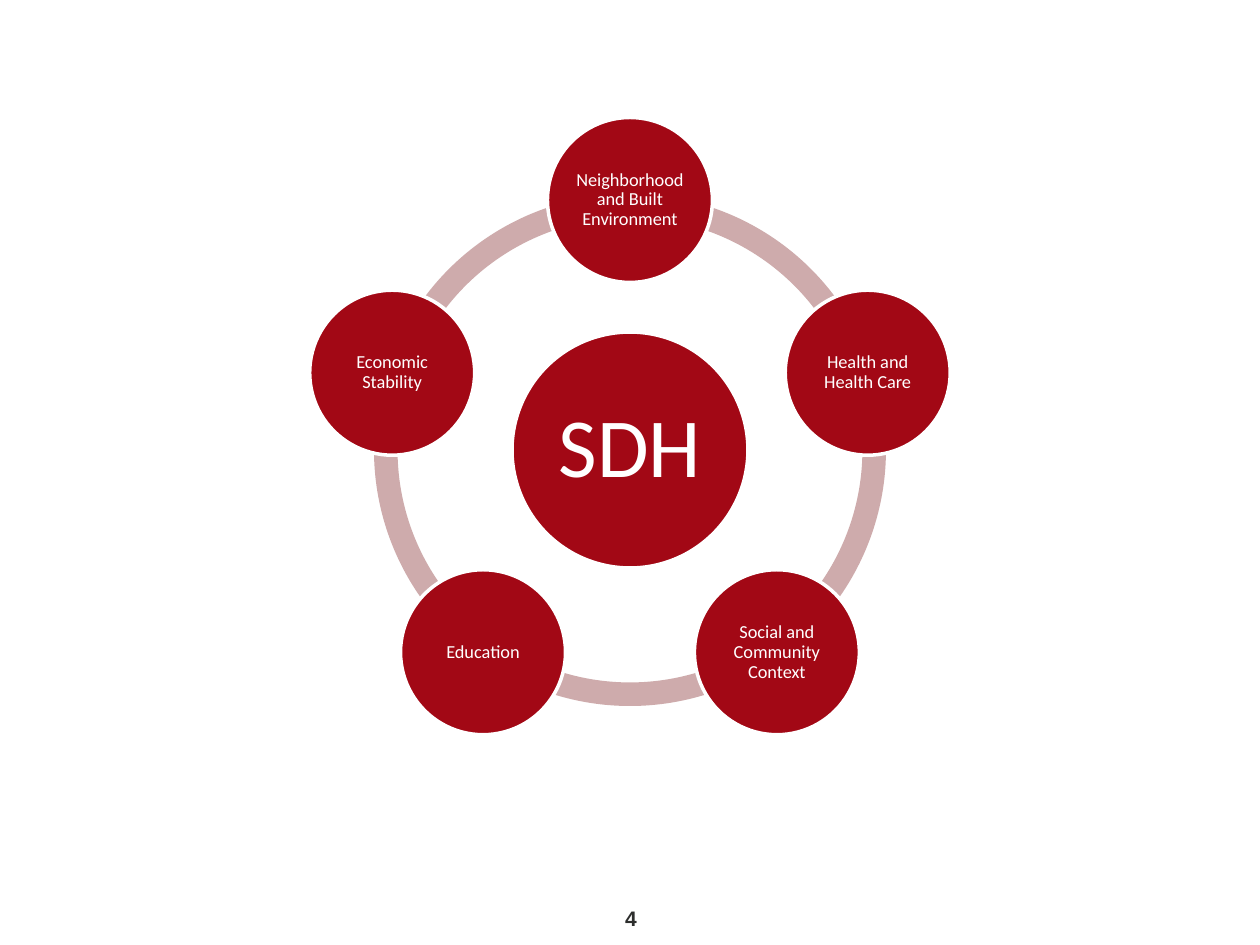
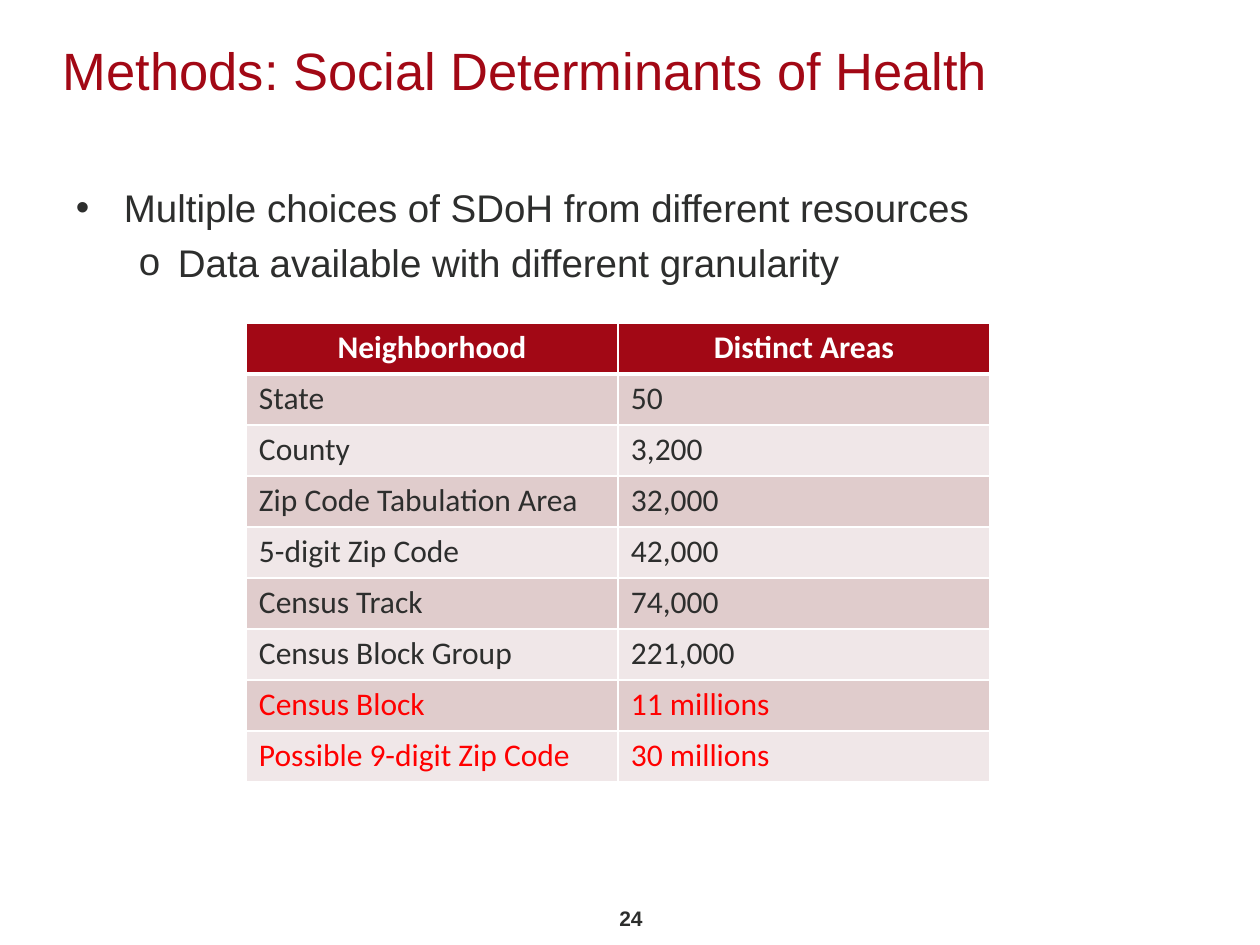
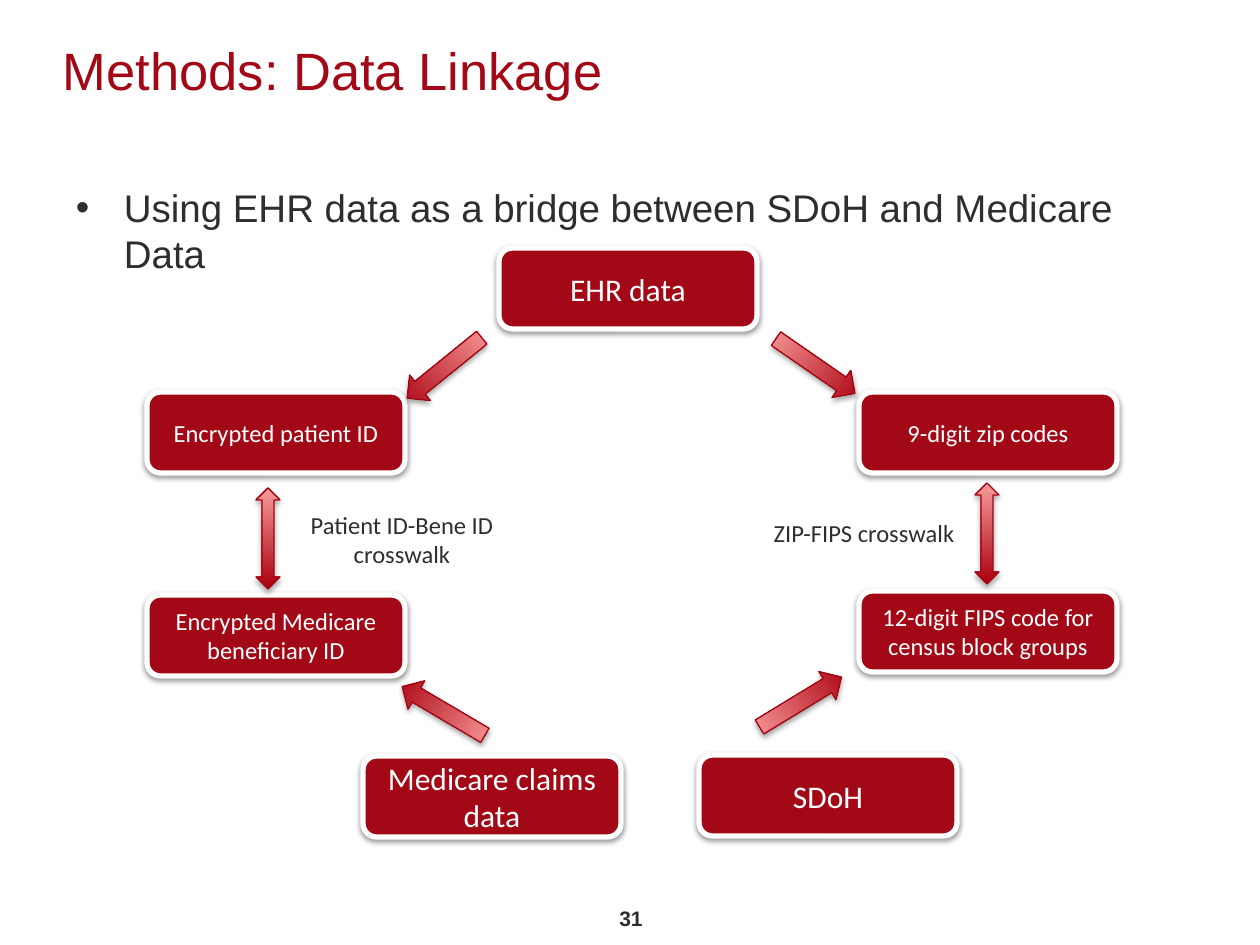
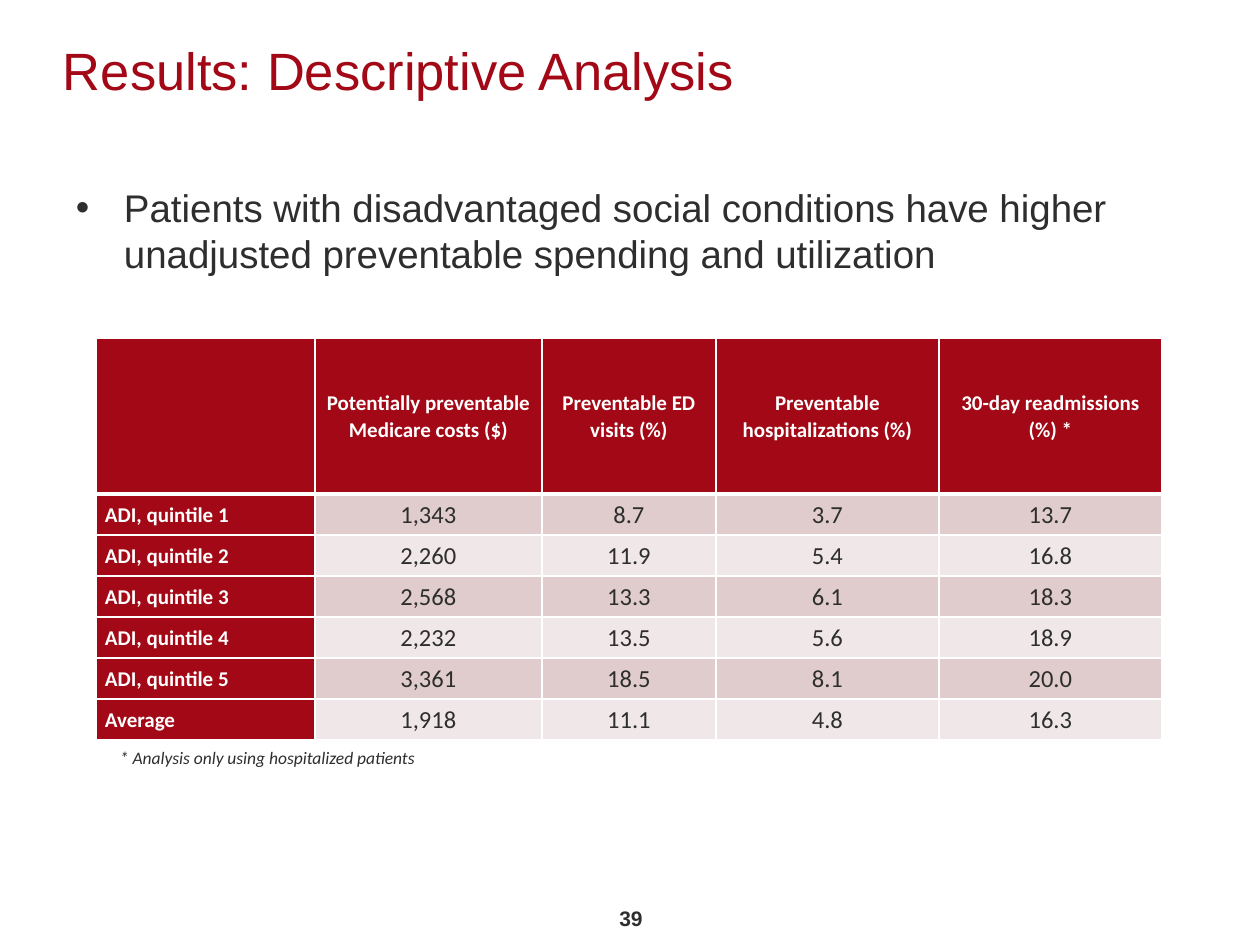
import math

import lxml.etree
import pptx
import pptx.dml.color
import pptx.enum.shapes
import pptx.enum.text
import pptx.oxml.ns
import pptx.util

RGB = pptx.dml.color.RGBColor
SHAPE = pptx.enum.shapes.MSO_SHAPE
ALIGN = pptx.enum.text.PP_ALIGN
ANCHOR = pptx.enum.text.MSO_ANCHOR
qn = pptx.oxml.ns.qn

CRIMSON = RGB(0xA2, 0x08, 0x15)
ARROW_DARK = RGB(0xAA, 0x00, 0x0E)
ARROW_LIGHT = RGB(0xF8, 0x9C, 0x9C)
ARROW_EDGE = RGB(0xA2, 0x04, 0x11)
RING = RGB(0xCE, 0xAB, 0xAC)
BAND_DARK = RGB(0xE0, 0xCC, 0xCC)
BAND_LIGHT = RGB(0xF0, 0xE7, 0xE8)
INK = RGB(0x2D, 0x2E, 0x2D)
RED = RGB(0xFF, 0x00, 0x00)
WHITE = RGB(0xFF, 0xFF, 0xFF)

HEAD_FONT = "Arial"
TEXT_FONT = "Calibri"
EMU_PER_PX = 914400 / 126
CELL_INSETS = (13, 6, 13, 6)


def px(n):
    return pptx.util.Emu(round(n * EMU_PER_PX))


def px_box(box):
    return [px(n) for n in box]


def add_run(p, text, size, color, font=TEXT_FONT, bold=False, italic=False):
    r = p.add_run()
    r.text = text
    r.font.size = pptx.util.Pt(size)
    r.font.name = font
    r.font.color.rgb = color
    r.font.bold = bold
    r.font.italic = italic


def set_frame(tf, insets=CELL_INSETS, anchor=ANCHOR.TOP):
    tf.word_wrap = True
    tf.vertical_anchor = anchor
    tf.margin_left, tf.margin_top, tf.margin_right, tf.margin_bottom = px_box(insets)


def add_text(slide, box, lines, size, color=INK, align=ALIGN.LEFT,
             insets=CELL_INSETS, anchor=ANCHOR.TOP, **run_style):
    tf = slide.shapes.add_textbox(*px_box(box)).text_frame
    set_frame(tf, insets, anchor)
    for i, line in enumerate(lines):
        p = tf.paragraphs[0] if i == 0 else tf.add_paragraph()
        p.alignment = align
        add_run(p, line, size, color, **run_style)


def add_shape(slide, kind, box, fill=None, line=None, line_pt=0):
    sp = slide.shapes.add_shape(kind, *px_box(box))
    sp.shadow.inherit = False
    if fill is not None:
        sp.fill.solid()
        sp.fill.fore_color.rgb = fill
    if line is None:
        sp.line.fill.background()
    else:
        sp.line.color.rgb = line
        sp.line.width = pptx.util.Pt(line_pt)
    return sp


def add_label(sp, text, size, insets=CELL_INSETS, spacing=1.0):
    set_frame(sp.text_frame, insets, ANCHOR.MIDDLE)
    p = sp.text_frame.paragraphs[0]
    p.alignment = ALIGN.CENTER
    p.line_spacing = spacing
    add_run(p, text, size, WHITE)


def add_shadow(sp, opacity, blur_pt, distance_pt):
    """Give the shape a black shadow that falls straight down."""
    effects = sp._element.spPr.find(qn("a:effectLst"))
    shadow = lxml.etree.SubElement(
        effects, qn("a:outerShdw"), blurRad=str(pptx.util.Pt(blur_pt)),
        dist=str(pptx.util.Pt(distance_pt)), dir="5400000", rotWithShape="0")
    color = lxml.etree.SubElement(shadow, qn("a:srgbClr"), val="000000")
    lxml.etree.SubElement(color, qn("a:alpha"), val=str(opacity * 1000))


def add_page_number(slide, number):
    add_text(slide, (595, 893, 72, 50), [str(number)], 12, align=ALIGN.CENTER,
             anchor=ANCHOR.MIDDLE, font=HEAD_FONT, bold=True)


def add_title(slide, title):
    add_text(slide, (63, 38, 1134, 130), [title], 30, CRIMSON,
             insets=(0, 0, 13, 6), font=HEAD_FONT)


def add_bullets(slide, bullets):
    """Write (level, text) pairs as the body of the slide."""
    levels = [("•", 48, -48), ("o", 102, -39)]
    tf = slide.shapes.add_textbox(*px_box((63, 178, 1133, 723))).text_frame
    set_frame(tf)
    for i, (level, text) in enumerate(bullets):
        p = tf.paragraphs[0] if i == 0 else tf.add_paragraph()
        p.level = level
        if i:
            p.space_before = pptx.util.Pt(5)
        char, margin, indent = levels[level]
        pPr = p._p.get_or_add_pPr()
        pPr.set("marL", str(px(margin)))
        pPr.set("indent", str(px(indent)))
        lxml.etree.SubElement(pPr, qn("a:buFont"), typeface=HEAD_FONT)
        lxml.etree.SubElement(pPr, qn("a:buChar"), char=char)
        add_run(p, text, 22, INK, HEAD_FONT)


def set_borders(cell, top_pt, bottom_pt):
    tcPr = cell._tc.get_or_add_tcPr()
    sides = [("a:lnL", 1), ("a:lnR", 1), ("a:lnT", top_pt), ("a:lnB", bottom_pt)]
    for i, (tag, width) in enumerate(sides):
        ln = lxml.etree.Element(qn(tag), w=str(pptx.util.Pt(width)))
        fill = lxml.etree.SubElement(ln, qn("a:solidFill"))
        lxml.etree.SubElement(fill, qn("a:srgbClr"), val=str(WHITE))
        tcPr.insert(i, ln)


def add_table(slide, corner, widths, heights, rows, head_size, body_size,
              head_column=False, red_rows=(), body_align=ALIGN.LEFT,
              insets=CELL_INSETS, anchor=ANCHOR.TOP, spacing=1.0):
    """Draw a banded table with a header row and, if asked, a header column."""
    box = (*corner, sum(widths), sum(heights))
    table = slide.shapes.add_table(len(rows), len(widths), *px_box(box)).table
    for column, width in zip(table.columns, widths):
        column.width = px(width)
    for r, (values, height) in enumerate(zip(rows, heights)):
        table.rows[r].height = px(height)
        for c, text in enumerate(values):
            cell = table.cell(r, c)
            in_column = head_column and c == 0
            is_head = r == 0 or in_column
            set_borders(cell, 3 if r == 1 else 1, 3 if r == 0 else 1)
            cell.fill.solid()
            band = BAND_DARK if r % 2 else BAND_LIGHT
            cell.fill.fore_color.rgb = CRIMSON if is_head else band
            cell.vertical_anchor = anchor
            (cell.margin_left, cell.margin_top,
             cell.margin_right, cell.margin_bottom) = px_box(insets)
            if not text:
                continue
            p = cell.text_frame.paragraphs[0]
            p.line_spacing = spacing
            if in_column:
                p.alignment = ALIGN.LEFT
            else:
                p.alignment = ALIGN.CENTER if r == 0 else body_align
            if is_head:
                add_run(p, text, head_size, WHITE, bold=True)
            else:
                add_run(p, text, body_size, RED if r in red_rows else INK)


def add_determinants_wheel(slide, box):
    """Draw the core, and around it the ring with one node per determinant."""
    nodes = ["Neighborhood and Built Environment", "Health and Health Care",
             "Social and Community Context", "Education", "Economic Stability"]
    left, top, ring, _ = box
    cx, cy = left + ring / 2, top + ring / 2
    orbit, step = 250, 360 / len(nodes)
    angles = [(270 + i * step) % 360 for i in range(len(nodes))]

    def add_disc(x, y, diameter, text, size, inset):
        disc = (x - diameter / 2, y - diameter / 2, diameter, diameter)
        sp = add_shape(slide, SHAPE.OVAL, disc, CRIMSON, WHITE, 2)
        add_label(sp, text, size, (inset,) * 4, 0.9)

    for angle in angles:
        arc = add_shape(slide, SHAPE.BLOCK_ARC, box, RING)
        # Angles are stored in 60000ths of a degree, adjustments in 100000ths.
        arc.adjustments[0] = angle * 0.6
        arc.adjustments[1] = (angle + step) % 360 * 0.6
        arc.adjustments[2] = 0.046
    add_disc(cx, cy, 236, "SDH", 48, 9)
    for angle, text in zip(angles, nodes):
        a = math.radians(angle)
        add_disc(cx + orbit * math.cos(a), cy + orbit * math.sin(a), 165, text, 10.5, 2)


def add_linkage_box(slide, x, y, text, size):
    sp = add_shape(slide, SHAPE.ROUNDED_RECTANGLE, (x, y, 258, 81), CRIMSON, WHITE, 3)
    add_shadow(sp, 38, 3.1, 1.6)
    add_label(sp, text, size)


def add_linkage_arrow(slide, kind, box, rotation=0):
    sp = add_shape(slide, kind, box, line=ARROW_EDGE, line_pt=0.75)
    sp.fill.gradient()
    sp.fill.gradient_angle = 90
    for stop, color in zip(sp.fill.gradient_stops, (ARROW_DARK, ARROW_LIGHT)):
        stop.color.rgb = color
    sp.rotation = rotation
    add_shadow(sp, 35, 3.1, 1.8)


def add_linkage_diagram(slide, left, top):
    boxes = [
        (352, 0, "EHR data", 18),
        (0, 144, "Encrypted patient ID", 14),
        (0, 347, "Encrypted Medicare beneficiary ID", 14),
        (216, 508, "Medicare claims data", 18),
        (552, 507, "SDoH", 18),
        (712, 144, "9-digit zip codes", 14),
        (712, 343, "12-digit FIPS code for census block groups", 14),
    ]
    one_way = [(281, 72, 51), (652, 70, 304.7), (280, 415, 120.5), (637, 406, 238.7)]
    two_way = [(109, 240), (828, 235)]
    labels = [
        (126, 256, 258, 72, ["Patient ID-Bene ID", "crosswalk"]),
        (606, 264, 222, 43, ["ZIP-FIPS crosswalk"]),
    ]
    for x, y, text, size in boxes:
        add_linkage_box(slide, left + x, top + y, text, size)
    for x, y, rotation in one_way:
        add_linkage_arrow(slide, SHAPE.DOWN_ARROW, (left + x, top + y, 33, 96), rotation)
    for x, y in two_way:
        add_linkage_arrow(slide, SHAPE.UP_DOWN_ARROW, (left + x, top + y, 24, 101))
    for x, y, width, height, lines in labels:
        add_text(slide, (left + x, top + y, width, height), lines, 14,
                 align=ALIGN.CENTER)


def add_slide(prs, number, title=None, bullets=()):
    slide = prs.slides.add_slide(prs.slide_layouts[6])
    add_page_number(slide, number)
    if title:
        add_title(slide, title)
    if bullets:
        add_bullets(slide, bullets)
    return slide


def build_wheel_slide(prs):
    add_determinants_wheel(add_slide(prs, 4), (374, 194, 512, 512))


def build_granularity_slide(prs):
    slide = add_slide(prs, 24, "Methods: Social Determinants of Health", [
        (0, "Multiple choices of SDoH from different resources"),
        (1, "Data available with different granularity"),
    ])
    rows = [
        ("Neighborhood", "Distinct Areas"),
        ("State", "50"),
        ("County", "3,200"),
        ("Zip Code Tabulation Area", "32,000"),
        ("5-digit Zip Code", "42,000"),
        ("Census Track", "74,000"),
        ("Census Block Group", "221,000"),
        ("Census Block", "11 millions"),
        ("Possible 9-digit Zip Code", "30 millions"),
    ]
    add_table(slide, (246, 323), [372] * 2, [51] * len(rows), rows, 18, 18,
              red_rows=(7, 8))


def build_linkage_slide(prs):
    slide = add_slide(prs, 31, "Methods: Data Linkage", [
        (0, "Using EHR data as a bridge between SDoH and Medicare Data"),
    ])
    add_linkage_diagram(slide, 147, 248)


def build_results_slide(prs):
    slide = add_slide(prs, 39, "Results: Descriptive Analysis", [
        (0, "Patients with disadvantaged social conditions have higher "
            "unadjusted preventable spending and utilization"),
    ])
    rows = [
        ("", "Potentially preventable Medicare costs ($)", "Preventable ED visits (%)",
         "Preventable hospitalizations (%)", "30-day readmissions (%) *"),
        ("ADI, quintile 1", "1,343", "8.7", "3.7", "13.7"),
        ("ADI, quintile 2", "2,260", "11.9", "5.4", "16.8"),
        ("ADI, quintile 3", "2,568", "13.3", "6.1", "18.3"),
        ("ADI, quintile 4", "2,232", "13.5", "5.6", "18.9"),
        ("ADI, quintile 5", "3,361", "18.5", "8.1", "20.0"),
        ("Average", "1,918", "11.1", "4.8", "16.3"),
    ]
    add_table(slide, (96, 338), [219, 227, 174, 223, 223], [156] + [41] * 6, rows,
              12, 14, head_column=True, body_align=ALIGN.CENTER,
              insets=(9, 0, 9, 0), anchor=ANCHOR.MIDDLE, spacing=1.07)
    add_text(slide, (107, 741, 1034, 34), ["* Analysis only using hospitalized patients"],
             10, italic=True)


def main():
    prs = pptx.Presentation()
    prs.slide_width, prs.slide_height = px(1260), px(945)
    build_wheel_slide(prs)
    build_granularity_slide(prs)
    build_linkage_slide(prs)
    build_results_slide(prs)
    prs.save("out.pptx")


if __name__ == "__main__":
    main()
